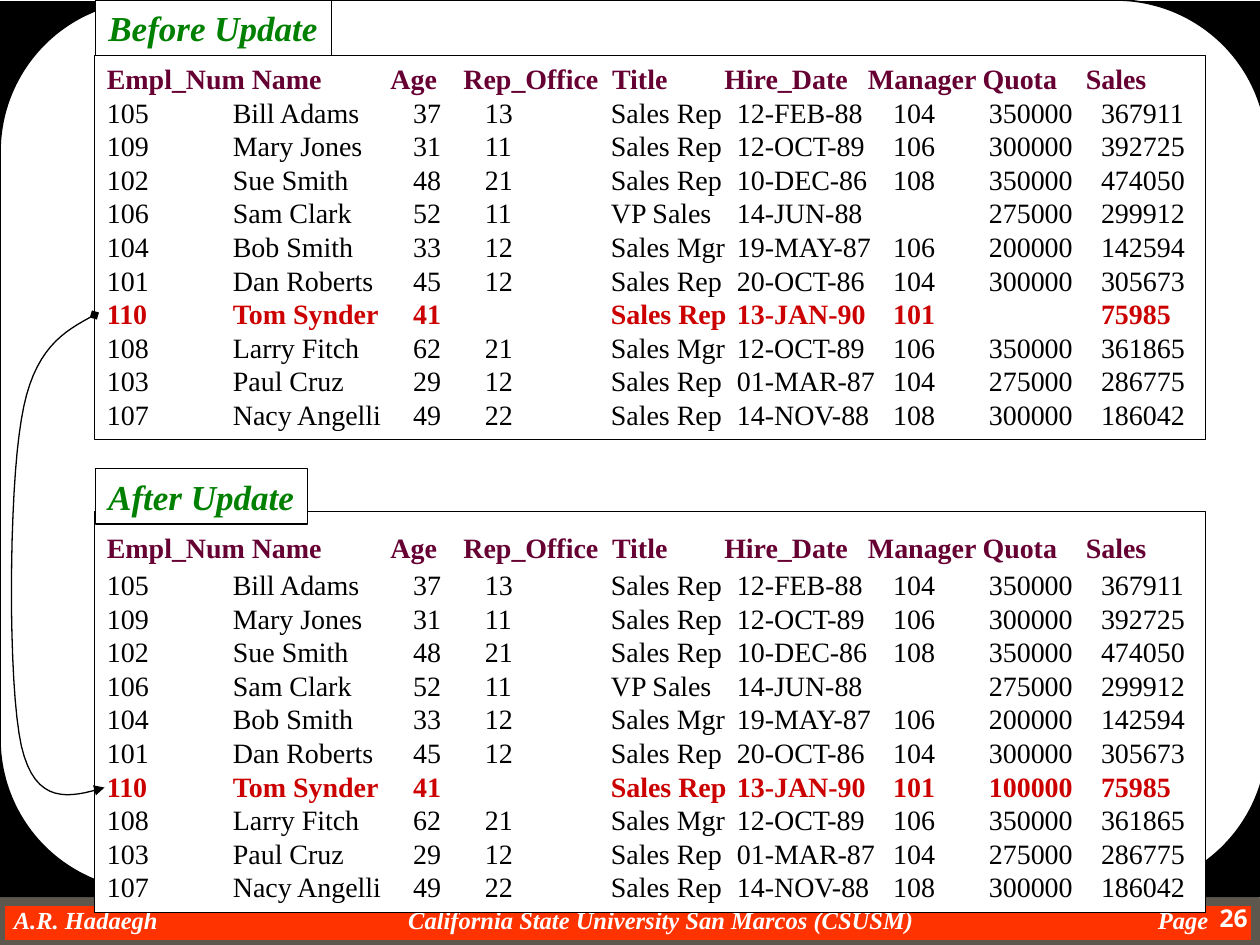
from lxml import etree
from pptx import Presentation
from pptx.dml.color import RGBColor
from pptx.enum.shapes import MSO_SHAPE as Shape
from pptx.enum.text import MSO_ANCHOR as Anchor, MSO_AUTO_SIZE as AutoSize, PP_ALIGN as Align
from pptx.oxml.ns import qn
from pptx.util import Inches, Pt

COLORS = {
    "white": "FFFFFF", "black": "000000", "orange": "FF3300", "gray": "5E574E",
    "header": "660033", "row": "010000", "changed": "CC0000", "caption": "008000",
}
SERIF = "Times New Roman"
HEADER = ["Empl_Num", "Name", "Age", "Rep_Office", "Title", "Hire_Date", "Manager", "Quota", "Sales"]
HEADER_STOPS = [1.15, 2.25, 2.83, 4.01, 4.9, 6.04, 6.95, 7.77]
ROW_STOPS = [1, 2.43, 3, 4, 5, 6.24, 7, 7.89]
EMPLOYEES = [
    ["105", "Bill Adams", "37", "13", "Sales Rep", "12-FEB-88", "104", "350000", "367911"],
    ["109", "Mary Jones", "31", "11", "Sales Rep", "12-OCT-89", "106", "300000", "392725"],
    ["102", "Sue Smith", "48", "21", "Sales Rep", "10-DEC-86", "108", "350000", "474050"],
    ["106", "Sam Clark", "52", "11", "VP Sales", "14-JUN-88", "", "275000", "299912"],
    ["104", "Bob Smith", "33", "12", "Sales Mgr", "19-MAY-87", "106", "200000", "142594"],
    ["101", "Dan Roberts", "45", "12", "Sales Rep", "20-OCT-86", "104", "300000", "305673"],
    ["110", "Tom Synder", "41", "", "Sales Rep", "13-JAN-90", "101", "", "75985"],
    ["108", "Larry Fitch", "62", "21", "Sales Mgr", "12-OCT-89", "106", "350000", "361865"],
    ["103", "Paul Cruz", "29", "12", "Sales Rep", "01-MAR-87", "104", "275000", "286775"],
    ["107", "Nacy Angelli", "49", "22", "Sales Rep", "14-NOV-88", "108", "300000", "186042"],
]
UPDATED_ID, NEW_QUOTA = "110", "100000"


def style_shape(shape, fill, line=None, width=0.75):
    """Give a shape a solid fill and an optional outline, without shadow."""
    shape.fill.solid()
    shape.fill.fore_color.rgb = RGBColor.from_string(COLORS[fill])
    if hasattr(shape, "shadow"):
        shape.shadow.inherit = False
    if line:
        shape.line.color.rgb = RGBColor.from_string(COLORS[line])
        shape.line.width = Pt(width)
    else:
        shape.line.fill.background()


def write(paragraph, text, size, color, bold=False, italic=False, font=SERIF, stops=()):
    """Fill a left-aligned paragraph with styled text and set its tab stops."""
    paragraph.text = text
    paragraph.alignment = Align.LEFT
    for run in paragraph.runs:
        run.font.name, run.font.size = font, Pt(size)
        run.font.bold, run.font.italic = bold, italic
        run.font.color.rgb = RGBColor.from_string(COLORS[color])
    if stops:
        tab_list = etree.SubElement(paragraph._p.get_or_add_pPr(), qn("a:tabLst"))
        for stop in stops:
            etree.SubElement(tab_list, qn("a:tab"), pos=str(Inches(stop)), algn="l")


presentation = Presentation()
presentation.slide_width, presentation.slide_height = Inches(10), Inches(7.5)
slide = presentation.slides.add_slide(presentation.slide_layouts[5])
shapes = slide.shapes

# Frame and footer
footer = shapes.add_shape(Shape.RECTANGLE, 0, Inches(7.15), Inches(9.97), Inches(0.35))
style_shape(footer, "orange", "gray", 6)
footer_text = shapes.add_textbox(0, Inches(7.18), Inches(9.68), Inches(0.23)).text_frame
footer_text.margin_left = Inches(0.11)
footer_text.margin_right = footer_text.margin_top = footer_text.margin_bottom = 0
footer_text.word_wrap = True
write(footer_text.paragraphs[0],
      "A.R. Hadaegh\tCalifornia State University San Marcos (CSUSM)\tPage",
      14, "white", bold=True, italic=True, stops=[3.13, 9.08])

backdrop = shapes.add_shape(Shape.RECTANGLE, 0, Inches(0.01), Inches(10), Inches(7.11))
style_shape(backdrop, "black")
panel = shapes.add_shape(Shape.ROUNDED_RECTANGLE, 0, 0, Inches(10.06), Inches(7.07))
panel.adjustments[0] = 0.17
style_shape(panel, "white", "black", 1)

page_number = shapes.add_textbox(Inches(9.25), Inches(7.12), Inches(0.75), Inches(0.38)).text_frame
page_number.word_wrap = True
write(page_number.paragraphs[0], "26", 14, "white", bold=True, font="Open Sans")
page_number.paragraphs[0].alignment = Align.RIGHT

# Employee listings: top, height, upper margin, space after header, quota of the updated row
for top, height, margin, header_gap, quota in [
    (0.44, 3.05, 0.05, 0, ""),
    (4.06, 3.18, 0.15, 2, NEW_QUOTA),
]:
    listing = shapes.add_shape(Shape.RECTANGLE, Inches(0.75), Inches(top), Inches(8.82), Inches(height))
    style_shape(listing, "white", "black")
    frame = listing.text_frame
    frame.word_wrap = False
    frame.vertical_anchor = Anchor.TOP
    frame.margin_top = Inches(margin)
    header = frame.paragraphs[0]
    header.space_after = Pt(header_gap)
    write(header, "\t".join(HEADER), 16, "header", bold=True, stops=HEADER_STOPS)
    for employee in EMPLOYEES:
        changed = employee[0] == UPDATED_ID
        cells = employee[:7] + [quota] + employee[8:] if changed else employee
        write(frame.add_paragraph(), "\t".join(cells), 16,
              "changed" if changed else "row", bold=changed, stops=ROW_STOPS)

# Captions
before = shapes.title
shapes._spTree.append(before._element)
after = shapes.add_textbox(0, 0, 0, 0)
for caption, text, top, width in [(before, "Before Update", 0, 1.87), (after, "After Update", 3.72, 1.68)]:
    caption.left, caption.top = Inches(0.76), Inches(top)
    caption.width, caption.height = Inches(width), Inches(0.44)
    style_shape(caption, "white", "black")
    frame = caption.text_frame
    frame.word_wrap = False
    frame.auto_size = AutoSize.NONE
    frame.vertical_anchor = Anchor.MIDDLE
    write(frame.paragraphs[0], text, 20, "caption", bold=True, italic=True)

# Curved arrow between the two versions of the updated row
CURVES = [
    [(0.75, 2.5), (0.51, 2.63), (0.26, 2.76), (0.17, 3.33)],
    [(0.17, 3.33), (0.07, 3.9), (0.06, 5.43), (0.17, 5.92)],
    [(0.17, 5.92), (0.28, 6.4), (0.56, 6.33), (0.83, 6.25)],
]
STEPS = 16
points = []
for curve in CURVES:
    for step in range(1, STEPS + 1):
        t = step / STEPS
        weights = [(1 - t) ** 3, 3 * t * (1 - t) ** 2, 3 * t ** 2 * (1 - t), t ** 3]
        points.append(tuple(
            Inches(sum(weight * point[axis] for weight, point in zip(weights, curve)))
            for axis in (0, 1)))
start_x, start_y = CURVES[0][0]
builder = shapes.build_freeform(Inches(start_x), Inches(start_y))
builder.add_line_segments(points, close=False)
arrow = builder.convert_to_shape()
style_shape(arrow, "white", "black")
arrow.fill.background()
outline = arrow.line._get_or_add_ln()
etree.SubElement(outline, qn("a:headEnd"), type="diamond")
etree.SubElement(outline, qn("a:tailEnd"), type="triangle")

presentation.save("out.pptx")
